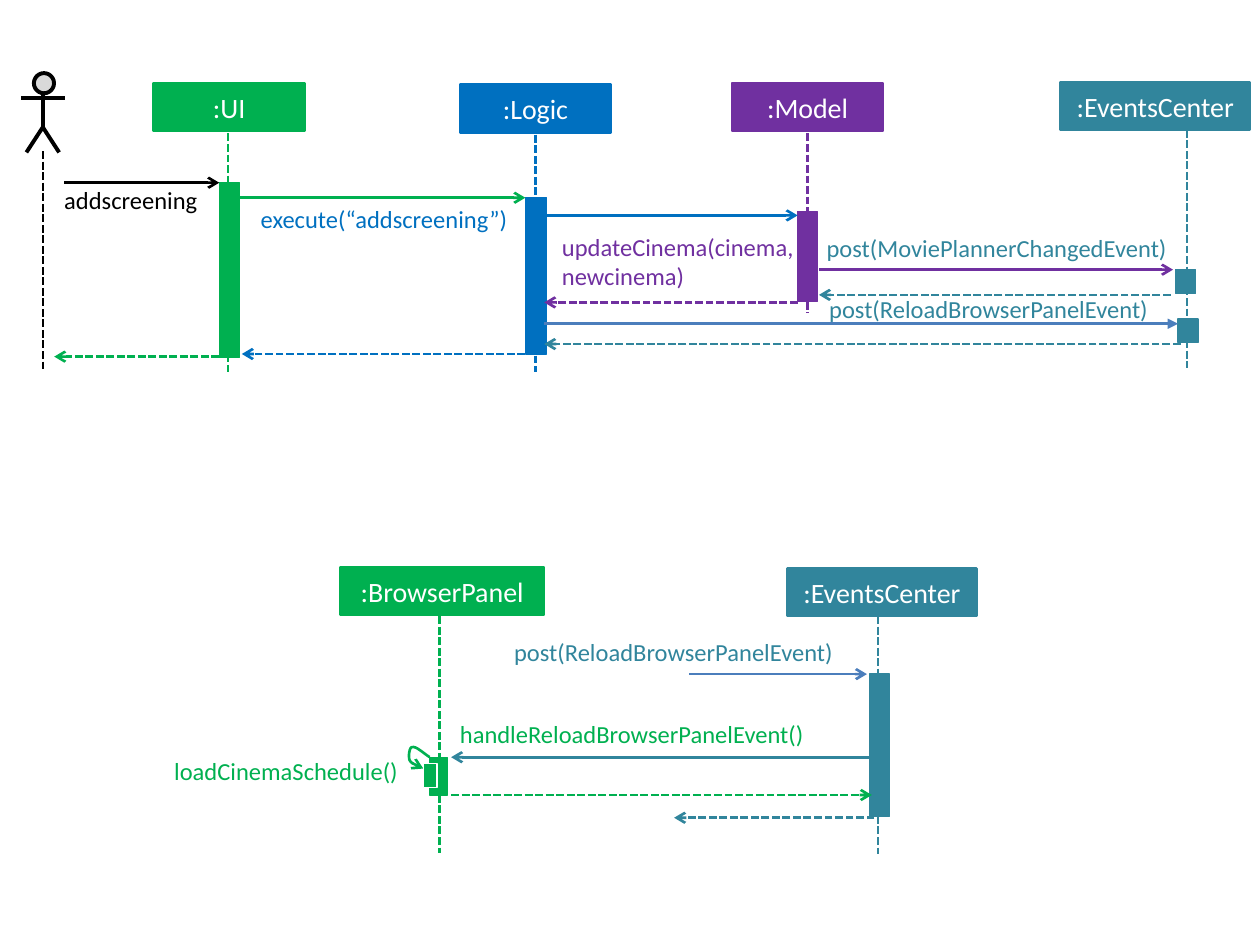
from lxml.etree import SubElement
from pptx import Presentation
from pptx.dml.color import RGBColor
from pptx.enum.dml import MSO_LINE
from pptx.enum.shapes import MSO_CONNECTOR, MSO_SHAPE
from pptx.enum.text import MSO_ANCHOR, PP_ALIGN
from pptx.oxml.ns import qn
from pptx.util import Pt

GREEN = RGBColor(0x00, 0xB0, 0x50)
BLUE = RGBColor(0x00, 0x70, 0xC0)
PURPLE = RGBColor(0x70, 0x30, 0xA0)
TEAL = RGBColor(0x31, 0x85, 0x9C)
STEEL = RGBColor(0x4B, 0x7E, 0xBC)
BLACK = RGBColor(0, 0, 0)
WHITE = RGBColor(255, 255, 255)
GREY = RGBColor(0xD9, 0xD9, 0xD9)

deck = Presentation()
deck.slide_width, deck.slide_height = Pt(720), Pt(540)
page = deck.slides.add_slide(deck.slide_layouts[6])


def add_box(left, top, width, height, text="", fill=None, line=None, weight=0.75,
            kind=MSO_SHAPE.RECTANGLE, size=14, color=WHITE, align=PP_ALIGN.LEFT):
    """Add a filled shape, or a plain text box when no fill is given."""
    frame = Pt(left), Pt(top), Pt(width), Pt(height)
    if fill is None:
        box = page.shapes.add_textbox(*frame)
    else:
        box = page.shapes.add_shape(kind, *frame)
        box.shadow.inherit = False
        box.fill.solid()
        box.fill.fore_color.rgb = fill
        box.line.color.rgb = line or fill
        box.line.width = Pt(weight)
        box.text_frame.vertical_anchor = MSO_ANCHOR.MIDDLE
    if text:
        body = box.text_frame
        body.word_wrap = True
        body.margin_left = body.margin_right = body.margin_top = body.margin_bottom = 0
        para = body.paragraphs[0]
        para.alignment = align
        span = para.add_run()
        span.text = text
        span.font.name, span.font.size = "Calibri", Pt(size)
        span.font.color.rgb = color
    return box


def add_line(x1, y1, x2, y2, color, dashed=False, arrow=None, weight=1.5):
    """Add a straight line, with an optional arrowhead at its end."""
    line = page.shapes.add_connector(MSO_CONNECTOR.STRAIGHT, Pt(x1), Pt(y1), Pt(x2), Pt(y2))
    line.line.color.rgb = color
    line.line.width = Pt(weight)
    if dashed:
        line.line.dash_style = MSO_LINE.SQUARE_DOT
    if arrow:
        SubElement(line.line._get_or_add_ln(), qn("a:tailEnd"), type=arrow)
    SubElement(line._element.spPr, qn("a:effectLst"))


# Stick figure of the user and its lifeline
ACTOR_X = 24.5
add_box(19.4, 41.8, 11.5, 11.5, fill=GREY, line=BLACK, weight=2.25,
        kind=MSO_SHAPE.FLOWCHART_CONNECTOR)
add_line(ACTOR_X, 53.3, ACTOR_X, 73.4, BLACK, weight=2.25)
add_line(12.2, 56.2, 37.4, 56.2, BLACK, weight=2.25)
add_line(ACTOR_X, 86.4, ACTOR_X, 212.4, BLACK, dashed=True)

# Participants: name, colour, head left, top, width, lifeline x, start, end, bars
participants = [
    (":UI", GREEN, 87.8, 47.5, 86.4, 130.3, 76.3, 212.4, [(125.3, 104.4, 11.5, 100.1)]),
    (":Logic", BLUE, 262.8, 48.2, 86.4, 306, 77, 212.4, [(300.2, 113, 12.2, 89.3)]),
    (":Model", PURPLE, 418.3, 47.5, 86.4, 461.5, 76.3, 178.6, [(455.8, 121, 11.5, 51.1)]),
    (":EventsCenter", TEAL, 606.2, 46.8, 108, 678.2, 74.2, 210.2,
     [(671.8, 154.1, 11.5, 13.7), (673.2, 182.2, 11.5, 13.7)]),
    (":EventsCenter", TEAL, 450, 324.7, 108, 501.8, 352.1, 488.2, [(496.8, 385.2, 11.5, 81.4)]),
    (":BrowserPanel", GREEN, 194.4, 324, 116.6, 251.3, 352.1, 487.4, [(245.5, 432.7, 10.1, 21.6)]),
]
for name, color, left, top, width, x, start, end, bars in participants:
    add_box(left, top, width, 27.4, name, fill=color, weight=1.5, size=16, align=PP_ALIGN.CENTER)
    add_line(x, start, x, end, color, dashed=True)
    for bar in bars:
        add_box(*bar, fill=color)

# Calls are solid, returns are dashed: from x, to x, y, colour
calls = [
    (36.7, 125.3, 104.4, BLACK), (136.8, 300.2, 113, GREEN), (311, 455.8, 123.1, BLUE),
    (468, 670.3, 154.1, PURPLE), (393.8, 495.4, 385.2, STEEL), (498.2, 257.8, 432.7, TEAL),
]
returns = [
    (455.8, 311, 172.8, PURPLE), (300.2, 138.2, 202.3, BLUE), (125.3, 31, 203.8, GREEN),
    (668.9, 468, 168.5, TEAL), (674.6, 311, 196.6, TEAL), (499.7, 385.2, 467.3, TEAL),
    (257.8, 498.2, 454.3, GREEN),
]
for messages, dashed in ((calls, False), (returns, True)):
    for start, end, y, color in messages:
        add_line(start, y, end, y, color, dashed=dashed, arrow="arrow")
add_line(311, 185, 673.2, 185, STEEL, arrow="triangle")

# Message labels: text, left, top, width, height, colour, alignment
labels = [
    ("addscreening", 36.7, 105.8, 79.9, 17, BLACK, PP_ALIGN.LEFT),
    ("execute(“addscreening”)", 149, 116.6, 149.8, 17, BLUE, PP_ALIGN.LEFT),
    ("updateCinema(cinema, newcinema)", 321.1, 132.5, 135.4, 34, PURPLE, PP_ALIGN.LEFT),
    ("post(MoviePlannerChangedEvent)", 472.3, 133.2, 198, 17, TEAL, PP_ALIGN.LEFT),
    ("post(ReloadBrowserPanelEvent)", 473.8, 167.8, 198, 17, TEAL, PP_ALIGN.LEFT),
    ("post(ReloadBrowserPanelEvent)", 293.8, 364.3, 213.8, 17, TEAL, PP_ALIGN.LEFT),
    ("handleReloadBrowserPanelEvent()", 262.8, 411.1, 209.5, 17, GREEN, PP_ALIGN.LEFT),
    ("loadCinemaSchedule()", 87.8, 432, 139.7, 17, GREEN, PP_ALIGN.RIGHT),
]
for text, left, top, width, height, color, align in labels:
    add_box(left, top, width, height, text, color=color, align=align)

# Self call of the browser panel: a curved arrow and a nested bar
STEPS = 8
curves = [
    ((245.5, 432.7), (241.2, 429.8), (237.6, 426.2), (235.4, 427)),
    ((235.4, 427), (234, 427), (233.3, 432), (234, 434.2)),
    ((234, 434.2), (234.7, 436.3), (238.3, 437.8), (241.9, 439.2)),
]
points = []
for curve in curves:
    for step in range(1, STEPS + 1):
        t = step / STEPS
        weights = ((1 - t) ** 3, 3 * t * (1 - t) ** 2, 3 * t * t * (1 - t), t ** 3)
        points.append(tuple(Pt(sum(w * p[axis] for w, p in zip(weights, curve)))
                            for axis in (0, 1)))

legs = [(Pt(x), Pt(y)) for x, y in ((ACTOR_X, 72.7), (33.8, 87.1))]
outlines = [
    ((Pt(15.1), Pt(87.1)), legs, BLACK, 2.25, None),
    ((Pt(245.5), Pt(432.7)), points, GREEN, 1.5, "arrow"),
]
for origin, vertices, color, weight, arrow in outlines:
    builder = page.shapes.build_freeform(*origin)
    builder.add_line_segments(vertices, close=False)
    outline = builder.convert_to_shape()
    outline.shadow.inherit = False
    outline.fill.background()
    outline.line.color.rgb = color
    outline.line.width = Pt(weight)
    if arrow:
        SubElement(outline.line._get_or_add_ln(), qn("a:tailEnd"), type=arrow)
add_box(241.9, 436.3, 7.9, 13.7, fill=GREEN, line=WHITE)

deck.save("out.pptx")
